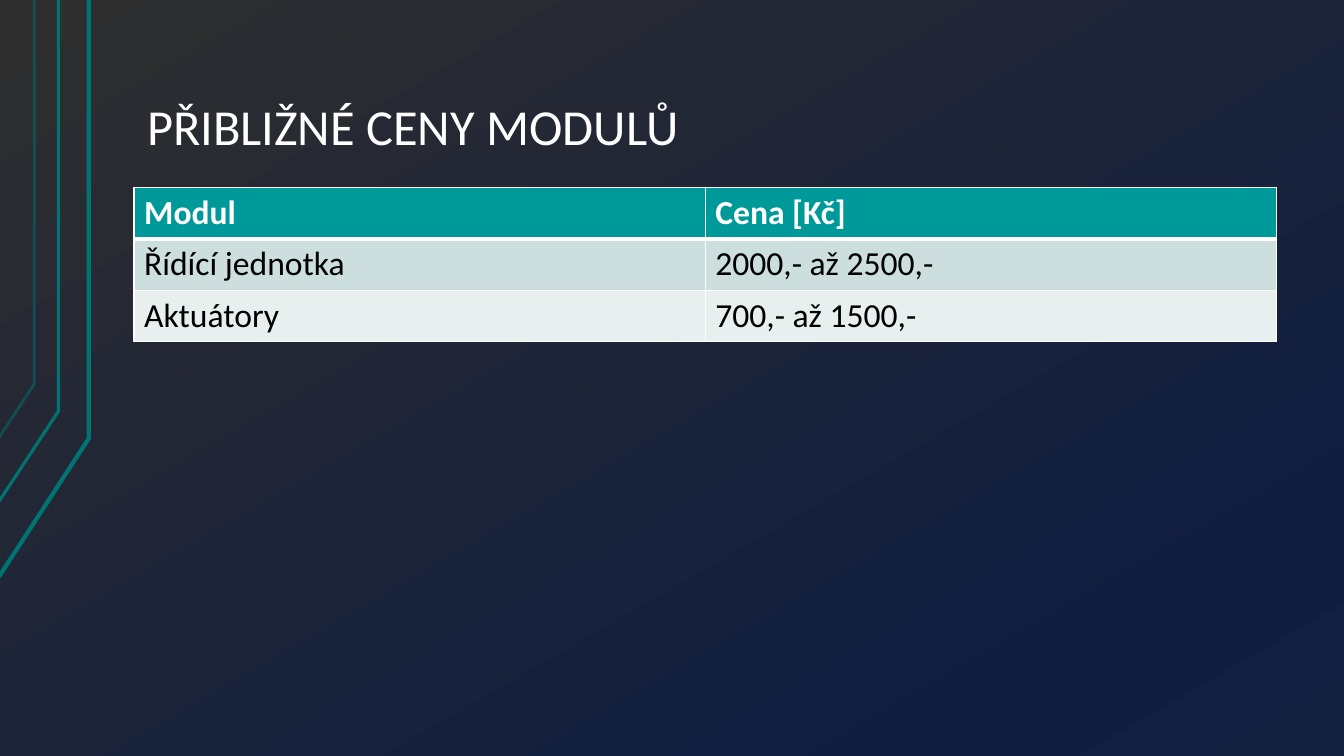
"""Build the slide with approximate module prices."""
from pptx import Presentation
from pptx.dml.color import RGBColor
from pptx.enum.text import MSO_ANCHOR, MSO_AUTO_SIZE, PP_ALIGN
from pptx.oxml import parse_xml
from pptx.oxml.ns import nsdecls, qn
from pptx.util import Inches, Pt
from lxml import etree

WHITE = RGBColor(0xFF, 0xFF, 0xFF)
BLACK = RGBColor(0x00, 0x00, 0x00)
TEAL = RGBColor(0x00, 0x99, 0x99)
DARK_TEAL = RGBColor(0x00, 0x73, 0x73)
BAND = RGBColor(0xCC, 0xDE, 0xDE)
LIGHT_BAND = RGBColor(0xE7, 0xEF, 0xEF)
CHARCOAL = RGBColor(0x2E, 0x2E, 0x2E)
NAVY = RGBColor(0x0F, 0x1D, 0x41)
SOFT_NAVY = RGBColor(0x14, 0x22, 0x42)


def style_font(font, size, color, bold=False):
    font.name = "Calibri"
    font.size = Pt(size)
    font.bold = bold
    font.color.rgb = color


def add_border(cell, side, width):
    cell._tc.get_or_add_tcPr().append(parse_xml(
        f'<a:ln{side} {nsdecls("a")} w="{Pt(width)}"><a:solidFill>'
        f'<a:srgbClr val="{WHITE}"/></a:solidFill></a:ln{side}>'))


prs = Presentation()
prs.slide_width = Inches(13.33)
prs.slide_height = Inches(7.5)
slide = prs.slides.add_slide(prs.slide_layouts[5])

backdrop = slide.background.fill
backdrop.gradient()
backdrop.gradient_angle = 300
stops = slide.background._cSld.find(".//" + qn("a:gsLst"))
stops.clear()
for percent, color in ((0, CHARCOAL), (85, NAVY), (100, SOFT_NAVY)):
    stop = etree.SubElement(stops, qn("a:gs"), pos=str(percent * 1000))
    etree.SubElement(stop, qn("a:srgbClr"), val=str(color))

bent_lines = (
    (-0.01, 5.72, 0.88, 4.35, 3, 100),
    (-0.02, 4.99, 0.58, 4.08, 2.25, 100),
    (-0.01, 4.34, 0.34, 3.81, 2, 50),
)
for start_x, start_y, bend_x, bend_y, width, opacity in bent_lines:
    outline = slide.shapes.build_freeform(Inches(start_x), Inches(start_y))
    outline.add_line_segments(
        [(Inches(bend_x), Inches(bend_y)), (Inches(bend_x), 0)], close=False)
    bent_line = outline.convert_to_shape()
    bent_line.shadow.inherit = False
    bent_line.fill.background()
    bent_line.line.width = Pt(width)
    bent_line.line.color.rgb = DARK_TEAL
    if opacity < 100:
        line_color = bent_line.line._ln.find(".//" + qn("a:srgbClr"))
        etree.SubElement(line_color, qn("a:alpha"), val=str(opacity * 1000))

title = slide.shapes.title
title.left, title.top = Inches(1.33), Inches(0.28)
title.width, title.height = Inches(11.33), Inches(1.34)
heading = title.text_frame
heading.text = "PŘIBLIŽNÉ CENY MODULŮ"
heading.word_wrap = True
heading.auto_size = MSO_AUTO_SIZE.NONE
heading.vertical_anchor = MSO_ANCHOR.BOTTOM
heading.margin_left = heading.margin_right = Inches(0.13)
heading.margin_top = heading.margin_bottom = Inches(0.07)
heading.paragraphs[0].alignment = PP_ALIGN.LEFT
heading.paragraphs[0].line_spacing = 0.9
style_font(heading.paragraphs[0].runs[0].font, 36, WHITE)

price_rows = (
    ("Modul", "Cena [Kč]"),
    ("Řídící jednotka", "2000,- až 2500,-"),
    ("Aktuátory", "700,- až 1500,-"),
)
row_fills = (TEAL, BAND, LIGHT_BAND)
prices = slide.shapes.add_table(
    3, 2, Inches(1.33), Inches(1.86), Inches(11.33), Inches(1.53)).table
for row, (texts, row_fill) in enumerate(zip(price_rows, row_fills)):
    is_header = row == 0
    for column, text in enumerate(texts):
        cell = prices.cell(row, column)
        cell.text = text
        style_font(cell.text_frame.paragraphs[0].runs[0].font, 24,
                   WHITE if is_header else BLACK, is_header)
        add_border(cell, "L", 1)
        add_border(cell, "R", 1)
        add_border(cell, "T", 3 if row == 1 else 1)
        add_border(cell, "B", 3 if is_header else 1)
        cell.fill.solid()
        cell.fill.fore_color.rgb = row_fill

prs.save("out.pptx")
